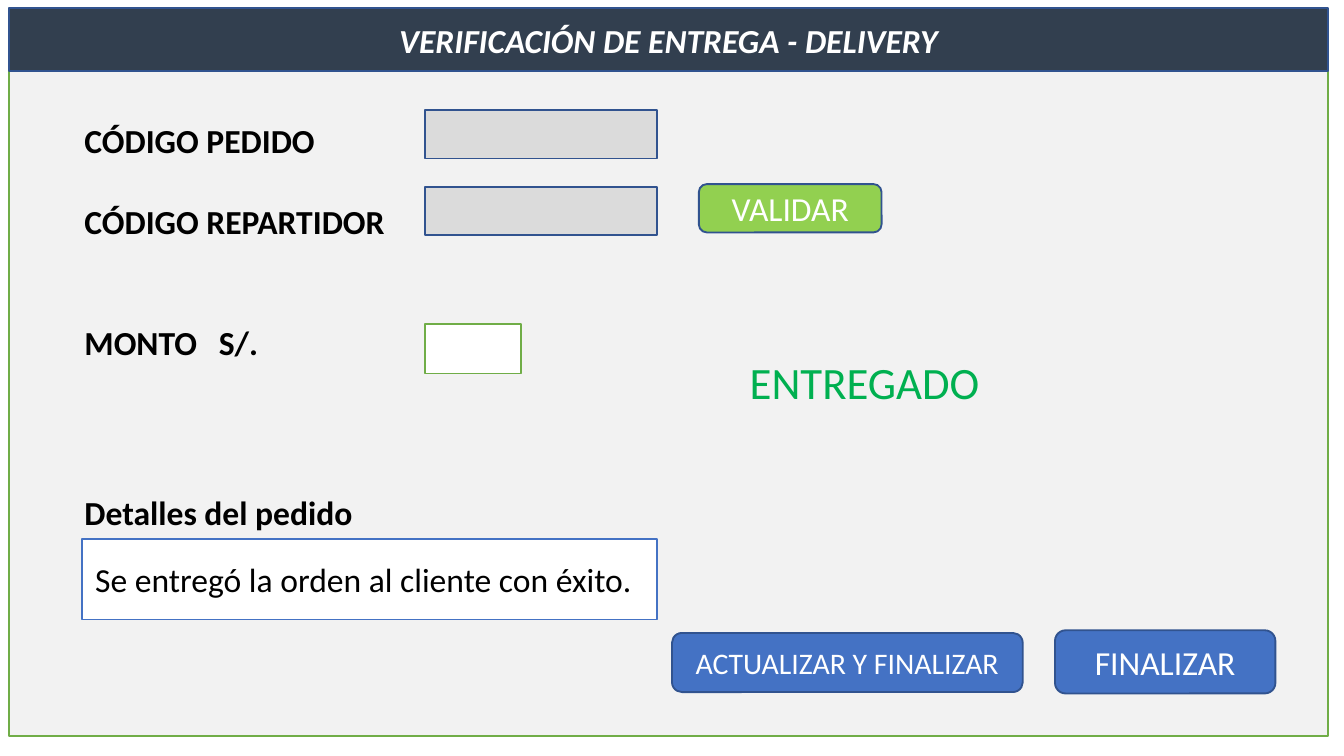
"""Build the delivery verification form slide."""
from lxml.etree import SubElement
from pptx import Presentation
from pptx.dml.color import RGBColor
from pptx.enum.shapes import MSO_SHAPE as SHAPE
from pptx.enum.text import MSO_ANCHOR as ANCHOR, PP_ALIGN as ALIGN
from pptx.oxml.ns import qn
from pptx.util import Inches, Pt

WHITE = RGBColor(0xFF, 0xFF, 0xFF)
BLACK = RGBColor(0x00, 0x00, 0x00)
PANEL = RGBColor(0xF2, 0xF2, 0xF2)
FIELD = RGBColor(0xDB, 0xDB, 0xDB)
NAVY = RGBColor(0x32, 0x3F, 0x4F)
BLUE = RGBColor(0x44, 0x72, 0xC4)
DARK_BLUE = RGBColor(0x31, 0x53, 0x8F)
GREEN = RGBColor(0x70, 0xAD, 0x47)
LIME = RGBColor(0x92, 0xD0, 0x50)
EMERALD = RGBColor(0x00, 0xB0, 0x50)


def write(p, text, size, color, bold=False, italic=False):
    p.text = text
    for r in p.runs:
        r.font.name = "Calibri"
        r.font.size = Pt(size)
        r.font.color.rgb = color
        r.font.bold = bold
        r.font.italic = italic


def add_box(kind, box, fill, line):
    sp = s.shapes.add_shape(kind, *map(Inches, box))
    sp.shadow.inherit = False
    sp.fill.solid()
    sp.fill.fore_color.rgb = fill
    sp.line.color.rgb = line
    sp.line.width = Pt(1)
    sp.text_frame.word_wrap = True
    sp.text_frame.vertical_anchor = ANCHOR.MIDDLE
    return sp


prs = Presentation()
prs.slide_width, prs.slide_height = Inches(10), Inches(10 * 9 / 16)
s = prs.slides.add_slide(prs.slide_layouts[6])

add_box(SHAPE.RECTANGLE, (0.07, 0.07, 9.81, 5.41), PANEL, GREEN)
title = add_box(SHAPE.RECTANGLE, (0.07, 0.06, 9.81, 0.47), NAVY, DARK_BLUE)
p = title.text_frame.paragraphs[0]
p.alignment = ALIGN.CENTER
write(p, "VERIFICACIÓN DE ENTREGA - DELIVERY", 18, WHITE, bold=True, italic=True)

labels = s.shapes.add_textbox(Inches(0.53), Inches(0.84), Inches(2.66), Inches(2.47))
tf = labels.text_frame
tf.word_wrap = True
for i, (text, gap) in enumerate([("CÓDIGO PEDIDO", 0), ("CÓDIGO REPARTIDOR", 22), ("MONTO\tS/.", 43)]):
    p = tf.add_paragraph() if i else tf.paragraphs[0]
    if gap:
        p.space_before = Pt(gap)
    if "\t" in text:
        tabs = SubElement(p._p.get_or_add_pPr(), qn("a:tabLst"))
        SubElement(tabs, qn("a:tab"), pos=str(Inches(1)), algn="l")
    write(p, text, 18, BLACK, bold=True)

for top, width, height, fill, line in [
    (0.82, 1.73, 0.36, FIELD, DARK_BLUE),
    (1.39, 1.73, 0.36, FIELD, DARK_BLUE),
    (2.41, 0.72, 0.37, WHITE, GREEN),
]:
    add_box(SHAPE.RECTANGLE, (3.16, top, width, height), fill, line)

for text, box, size, color, bold in [
    ("Detalles del pedido", (0.53, 3.61, 5.12, 0.4), 18, BLACK, True),
    ("ENTREGADO", (5.48, 2.59, 2.04, 0.45), 24, EMERALD, False),
]:
    sp = s.shapes.add_textbox(*map(Inches, box))
    sp.text_frame.word_wrap = True
    write(sp.text_frame.paragraphs[0], text, size, color, bold)

details = add_box(SHAPE.RECTANGLE, (0.61, 4.01, 4.28, 0.6), WHITE, BLUE)
p = details.text_frame.paragraphs[0]
p.alignment = ALIGN.LEFT
write(p, "Se entregó la orden al cliente con éxito.", 18, BLACK)

for text, box, size, fill in [
    ("VALIDAR", (5.2, 1.37, 1.36, 0.36), 18, LIME),
    ("ACTUALIZAR Y FINALIZAR", (5, 4.71, 2.61, 0.44), 16, BLUE),
    ("FINALIZAR", (7.85, 4.69, 1.64, 0.47), 18, BLUE),
]:
    button = add_box(SHAPE.ROUNDED_RECTANGLE, box, fill, DARK_BLUE)
    p = button.text_frame.paragraphs[0]
    p.alignment = ALIGN.CENTER
    write(p, text, size, WHITE)

prs.save("out.pptx")
